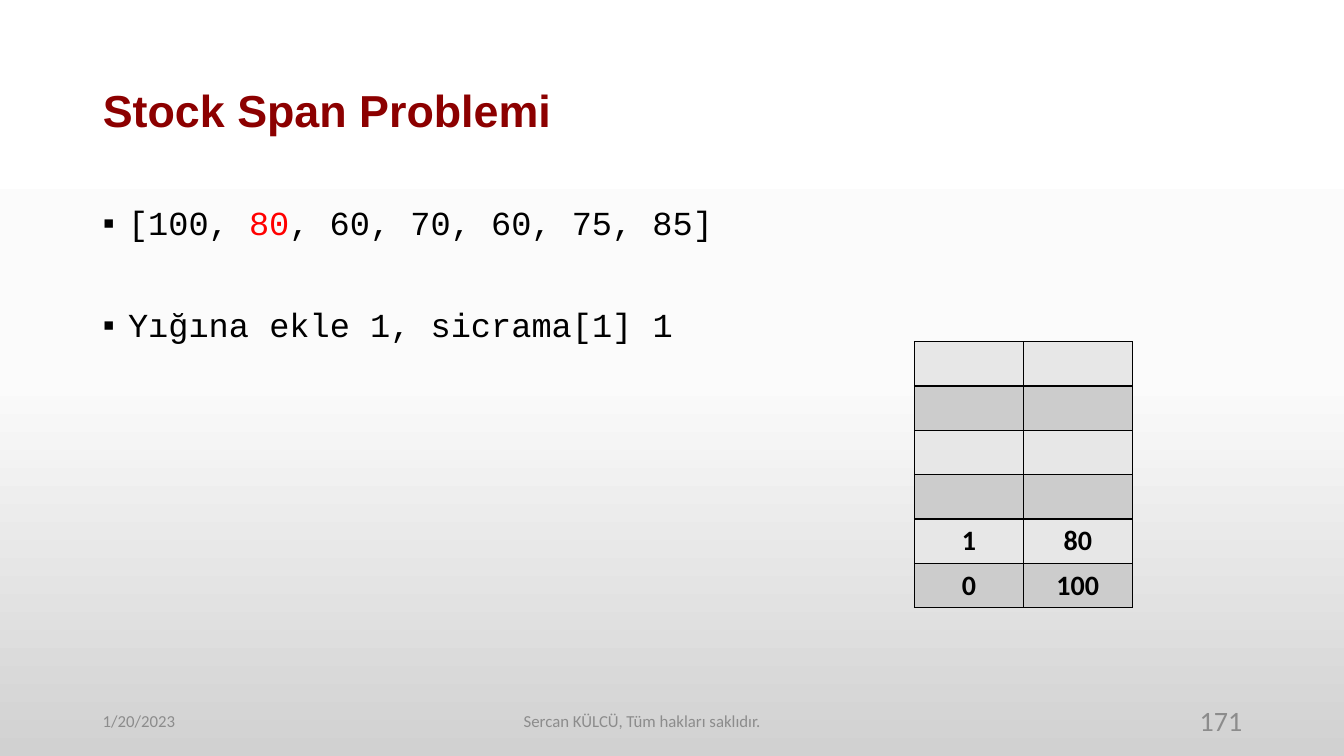
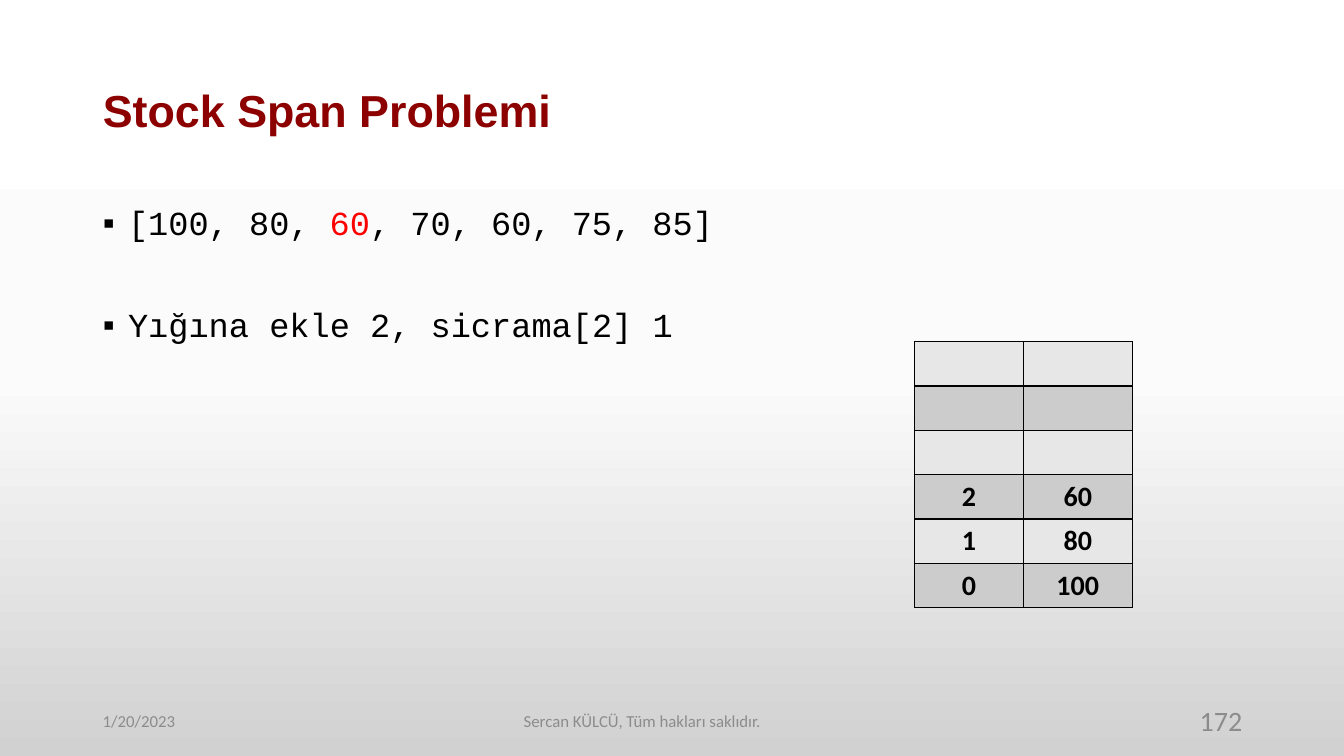
from copy import deepcopy

from lxml.etree import SubElement
from pptx import Presentation
from pptx.dml.color import RGBColor
from pptx.enum.text import MSO_ANCHOR as ANCHOR, MSO_AUTO_SIZE as AUTO, PP_ALIGN as ALIGN
from pptx.oxml.ns import qn
from pptx.util import Pt

# Content
TITLE = "Stock Span Problemi"
PRICES = [100, 80, 60, 70, 60, 75, 85]
STEPS = [  # page number, index being pushed, stack from bottom to top
    dict(page=171, index=1, stack=[0, 1]),
    dict(page=172, index=2, stack=[0, 1, 2]),
]
DATE = "1/20/2023"
FOOTER = "Sercan KÜLCÜ, Tüm hakları saklıdır."

# Look
COLORS = dict(title="8C0000", text="000000", current="FF0000", footer="8C8C8C",
              light="E7E7E7", dark="CCCCCC", border="000000")
BACKGROUND = [(0, "FFFFFF"), (0.5, "FBFBFB"), (1, "D1D1D1")]
PX = 9144  # EMU, 100 px to the inch
SLIDE_W, SLIDE_H = 1333, 750
TITLE_BOX = (92, 40, 1150, 145)
BODY_BOX = (92, 200, 1150, 512)
FOOTER_Y, FOOTER_H = 695, 40
TABLE_X, TABLE_Y, COL_W, ROW_H = 907, 339, 108, 44
ROWS, COLS = 6, 2
INDENT = 25


def rgb(name):
    return RGBColor.from_string(COLORS[name])


def place(s, box):
    s.left, s.top, s.width, s.height = (v * PX for v in box)


def write(p, text, size=24, font="Calibri", color="text", bold=False,
          align=None, spacing=None, before=None):
    """Add a run to a paragraph and format both."""
    r = p.add_run()
    r.text = text
    r.font.size, r.font.name, r.font.bold = Pt(size), font, bold
    r.font.color.rgb = rgb(color)
    if align is not None:
        p.alignment = align
    if spacing is not None:
        p.line_spacing = spacing
    if before is not None:
        p.space_before = Pt(before)


def add_bullet(p):
    pPr = p._p.get_or_add_pPr()
    pPr.set("marL", str(INDENT * PX))
    pPr.set("indent", str(-INDENT * PX))
    SubElement(pPr, qn("a:buFont")).set("typeface", "Arial")
    SubElement(pPr, qn("a:buChar")).set("char", "▪")


def set_background(master):
    fill = master.background.fill
    fill.gradient()
    fill.gradient_angle = 270
    stops = master.element.find(".//" + qn("a:gsLst"))
    stops.insert(1, deepcopy(stops[0]))
    for stop, (position, color) in zip(fill.gradient_stops, BACKGROUND):
        stop.position = position
        stop.color.rgb = RGBColor.from_string(color)


def add_footer(slide, page):
    for text, x, width, size, align in [
        (DATE, 92, 300, 12, ALIGN.LEFT),
        (FOOTER, 258, 758, 12, ALIGN.CENTER),
        (str(page), 942, 300, 20, ALIGN.RIGHT),
    ]:
        box = (x, FOOTER_Y, width, FOOTER_H)
        tf = slide.shapes.add_textbox(*(v * PX for v in box)).text_frame
        tf.word_wrap = True
        tf.vertical_anchor = ANCHOR.MIDDLE
        write(tf.paragraphs[0], text, size=size, color="footer", align=align)


def add_body(tf, index):
    tf.auto_size = AUTO.NONE
    style = dict(font="Courier New", align=ALIGN.JUSTIFY, spacing=0.9)
    # Price list with the current price marked
    p = tf.paragraphs[0]
    add_bullet(p)
    before = "".join(f"{v}, " for v in PRICES[:index])
    after = "".join(f", {v}" for v in PRICES[index + 1:])
    for text, color in [("[" + before, "text"), (str(PRICES[index]), "current"),
                        (after + "]", "text")]:
        write(p, text, color=color, before=0, **style)
    # Step taken
    p = tf.add_paragraph()
    add_bullet(p)
    write(p, f"Yığına ekle {index}, sicrama[{index}] 1", before=47, **style)


def style_cell(cell, fill):
    tcPr = cell._tc.get_or_add_tcPr()
    for side in ("lnL", "lnR", "lnT", "lnB"):
        ln = SubElement(tcPr, qn("a:" + side), w=str(Pt(1)))
        color = SubElement(SubElement(ln, qn("a:solidFill")), qn("a:srgbClr"))
        color.set("val", COLORS["border"])
    cell.fill.solid()
    cell.fill.fore_color.rgb = rgb(fill)
    cell.vertical_anchor = ANCHOR.MIDDLE


def add_stack(slide, stack):
    box = (TABLE_X, TABLE_Y, COLS * COL_W, ROWS * ROW_H)
    table = slide.shapes.add_table(ROWS, COLS, *(v * PX for v in box)).table
    table.first_row = table.horz_banding = False
    for row in range(ROWS):
        level = ROWS - 1 - row
        for col in range(COLS):
            cell = table.cell(row, col)
            style_cell(cell, "dark" if row % 2 else "light")
            if level < len(stack):
                value = (stack[level], PRICES[stack[level]])[col]
                write(cell.text_frame.paragraphs[0], str(value), size=20,
                      bold=True, align=ALIGN.CENTER)


def main():
    prs = Presentation()
    prs.slide_width, prs.slide_height = SLIDE_W * PX, SLIDE_H * PX
    set_background(prs.slide_master)
    layout = prs.slide_layouts[1]
    for i, box in enumerate((TITLE_BOX, BODY_BOX)):
        place(layout.placeholders[i], box)

    for step in STEPS:
        slide = prs.slides.add_slide(layout)
        title, body = slide.placeholders
        place(title, TITLE_BOX)
        place(body, BODY_BOX)
        title.text_frame.vertical_anchor = ANCHOR.MIDDLE
        write(title.text_frame.paragraphs[0], TITLE, size=32, font="Arial",
              color="title", bold=True, align=ALIGN.LEFT, spacing=0.9)
        add_body(body.text_frame, step["index"])
        add_footer(slide, step["page"])
        add_stack(slide, step["stack"])

    prs.save("out.pptx")


if __name__ == "__main__":
    main()
